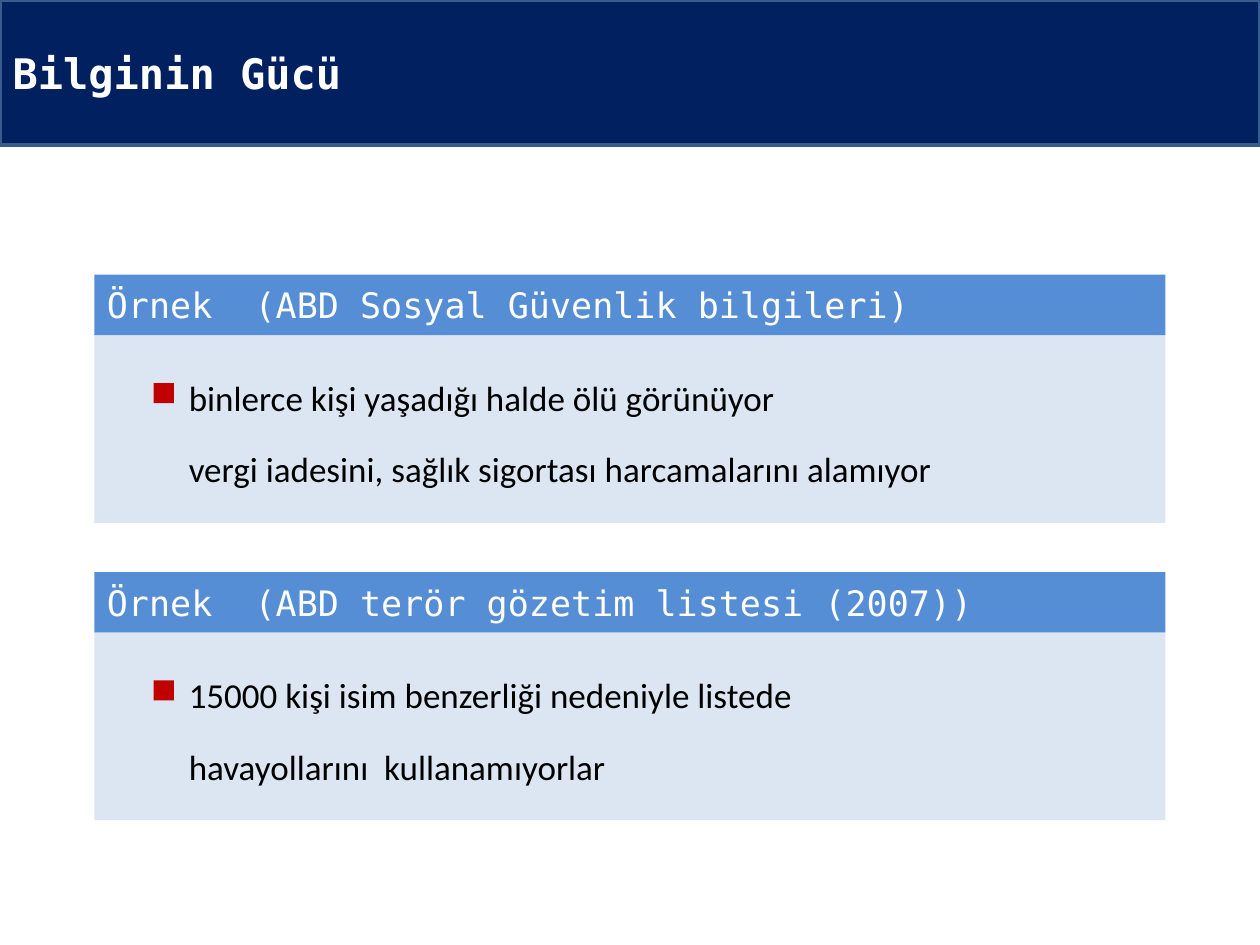
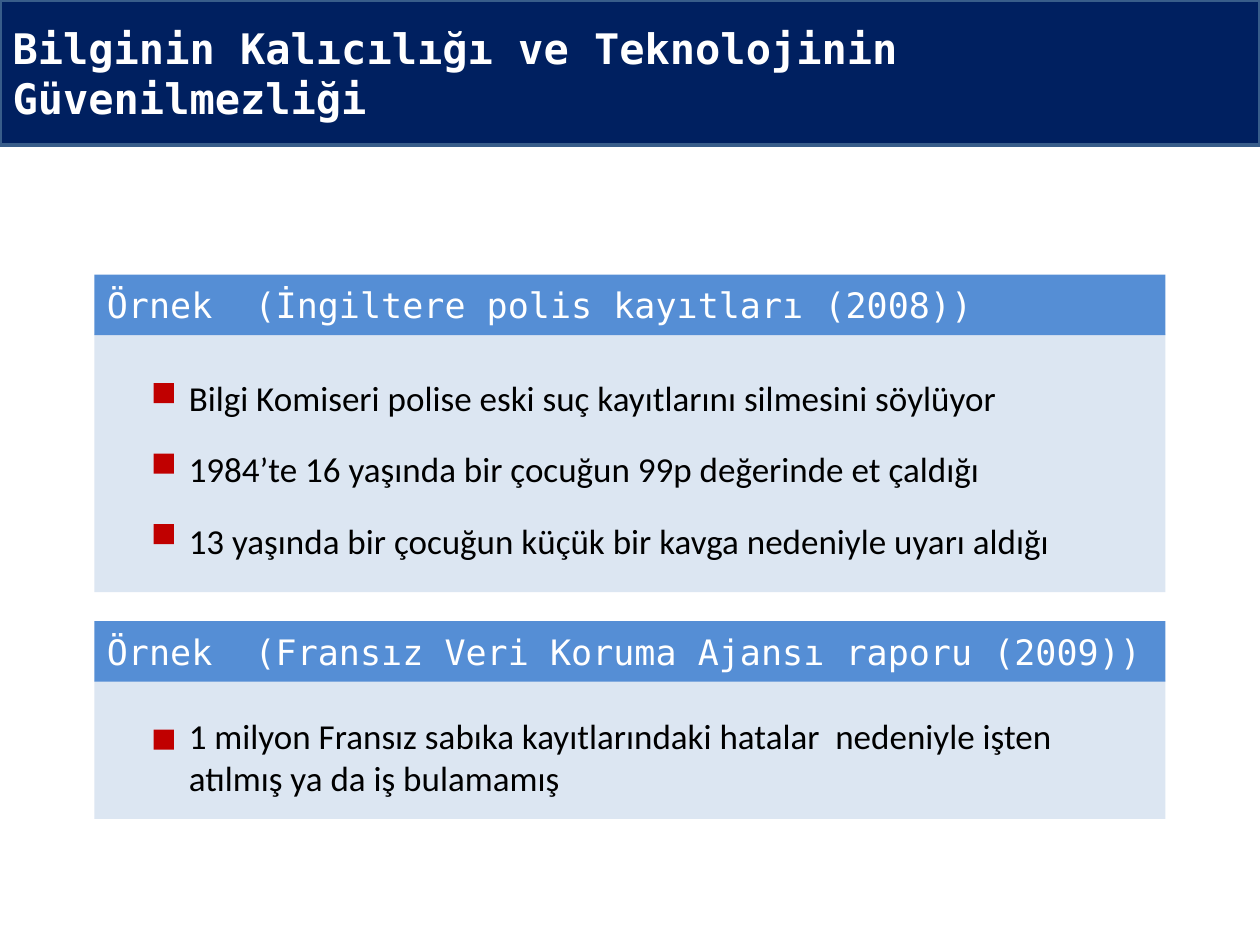
from dataclasses import dataclass

from pptx import Presentation
from pptx.dml.color import RGBColor
from pptx.enum.shapes import MSO_SHAPE
from pptx.enum.text import MSO_ANCHOR, MSO_AUTO_SIZE, PP_ALIGN
from pptx.util import Inches, Pt

RECTANGLE = MSO_SHAPE.RECTANGLE
MIDDLE = MSO_ANCHOR.MIDDLE
TOP = MSO_ANCHOR.TOP
LEFT = PP_ALIGN.LEFT
NO_AUTOFIT = MSO_AUTO_SIZE.NONE
TITLE_ONLY = 5
COLUMNS, ROWS = 100, 75


@dataclass(frozen=True)
class Theme:
    band: str = "002060"
    band_line: str = "385D8A"
    header: str = "558ED5"
    body: str = "DCE6F2"
    marker: str = "C00000"
    light: str = "FFFFFF"
    dark: str = "000000"
    heading_font: str = "DejaVu Sans Mono"
    body_font: str = "Calibri"
    title_size: int = 24
    text_size: int = 20
    band_line_width: int = 2
    space_before: int = 5


class Deck:
    def __init__(self, theme):
        self.theme = theme
        self.presentation = Presentation()
        self.presentation.slide_width = Inches(10)
        self.presentation.slide_height = Inches(7.5)
        self.slide = None

    def place(self, column, row, width, height):
        column_width = self.presentation.slide_width / COLUMNS
        row_height = self.presentation.slide_height / ROWS
        return (round(column * column_width), round(row * row_height),
                round(width * column_width), round(height * row_height))

    def set_text(self, shape, lines, font, size, color, bold=False,
                 anchor=MIDDLE, spacing=1.0, before=0):
        frame = shape.text_frame
        frame.word_wrap = True
        frame.auto_size = NO_AUTOFIT
        frame.vertical_anchor = anchor
        frame.text = "\n".join(lines)
        for paragraph in frame.paragraphs:
            paragraph.alignment = LEFT
            paragraph.line_spacing = spacing
            paragraph.space_before = Pt(before)
            paragraph.font.name = font
            paragraph.font.size = Pt(size)
            paragraph.font.bold = bold
            paragraph.font.color.rgb = RGBColor.from_string(color)

    def paint(self, shape, fill):
        shape.fill.solid()
        shape.fill.fore_color.rgb = RGBColor.from_string(fill)

    def add_slide(self, title):
        theme = self.theme
        layout = self.presentation.slide_layouts[TITLE_ONLY]
        self.slide = self.presentation.slides.add_slide(layout)
        band = self.slide.shapes.title
        band.left, band.top, band.width, band.height = self.place(0, 0, COLUMNS, 11.5)
        self.paint(band, theme.band)
        band.line.color.rgb = RGBColor.from_string(theme.band_line)
        band.line.width = Pt(theme.band_line_width)
        self.set_text(band, [title], theme.heading_font, theme.title_size,
                      theme.light, bold=True)

    def add_block(self, column, row, width, height, fill):
        block = self.slide.shapes.add_shape(
            RECTANGLE, *self.place(column, row, width, height))
        block.shadow.inherit = False
        block.line.fill.background()
        self.paint(block, fill)
        return block

    def add_text(self, column, row, width, height, lines, spacing):
        theme = self.theme
        box = self.slide.shapes.add_textbox(*self.place(column, row, width, height))
        self.set_text(box, lines, theme.body_font, theme.text_size, theme.dark,
                      anchor=TOP, spacing=spacing, before=theme.space_before)

    def add_example(self, row, height, heading, lines, text_width,
                    markers=1, spacing=1.5, text_offset=1.2):
        theme = self.theme
        left, width = 7.5, 85
        body_row = row + 4.7
        self.add_block(left, body_row, width, height, theme.body)
        self.add_text(14, body_row + text_offset, text_width, height - 2.1,
                      lines, spacing)
        for index in range(markers):
            self.add_block(12.2, body_row + 3.9 + 5.6 * index, 1.6, 1.6, theme.marker)
        header = self.add_block(left, row, width, 4.8, theme.header)
        self.set_text(header, [heading], theme.heading_font, theme.text_size,
                      theme.light)

    def save(self):
        self.presentation.save("out.pptx")


def main():
    deck = Deck(Theme())

    deck.add_slide("Bilginin Gücü")
    deck.add_example(21.8, 15, "Örnek  (ABD Sosyal Güvenlik bilgileri)", [
        "binlerce kişi yaşadığı halde ölü görünüyor",
        "vergi iadesini, sağlık sigortası harcamalarını alamıyor",
    ], text_width=63.7)
    deck.add_example(45.4, 15, "Örnek  (ABD terör gözetim listesi (2007))", [
        "15000 kişi isim benzerliği nedeniyle listede",
        "havayollarını  kullanamıyorlar",
    ], text_width=63.7)

    deck.add_slide("Bilginin Kalıcılığı ve Teknolojinin Güvenilmezliği")
    deck.add_example(21.8, 20.5, "Örnek  (İngiltere polis kayıtları (2008))", [
        "Bilgi Komiseri polise eski suç kayıtlarını silmesini söylüyor",
        "1984’te 16 yaşında bir çocuğun 99p değerinde et çaldığı",
        "13 yaşında bir çocuğun küçük bir kavga nedeniyle uyarı aldığı",
    ], text_width=75.4, markers=3)
    deck.add_example(49.3, 11, "Örnek  (Fransız Veri Koruma Ajansı raporu (2009))", [
        "1 milyon Fransız sabıka kayıtlarındaki hatalar  nedeniyle işten "
        "atılmış ya da iş bulamamış",
    ], text_width=76.2, spacing=1.0, text_offset=2.2)

    deck.save()


if __name__ == "__main__":
    main()
